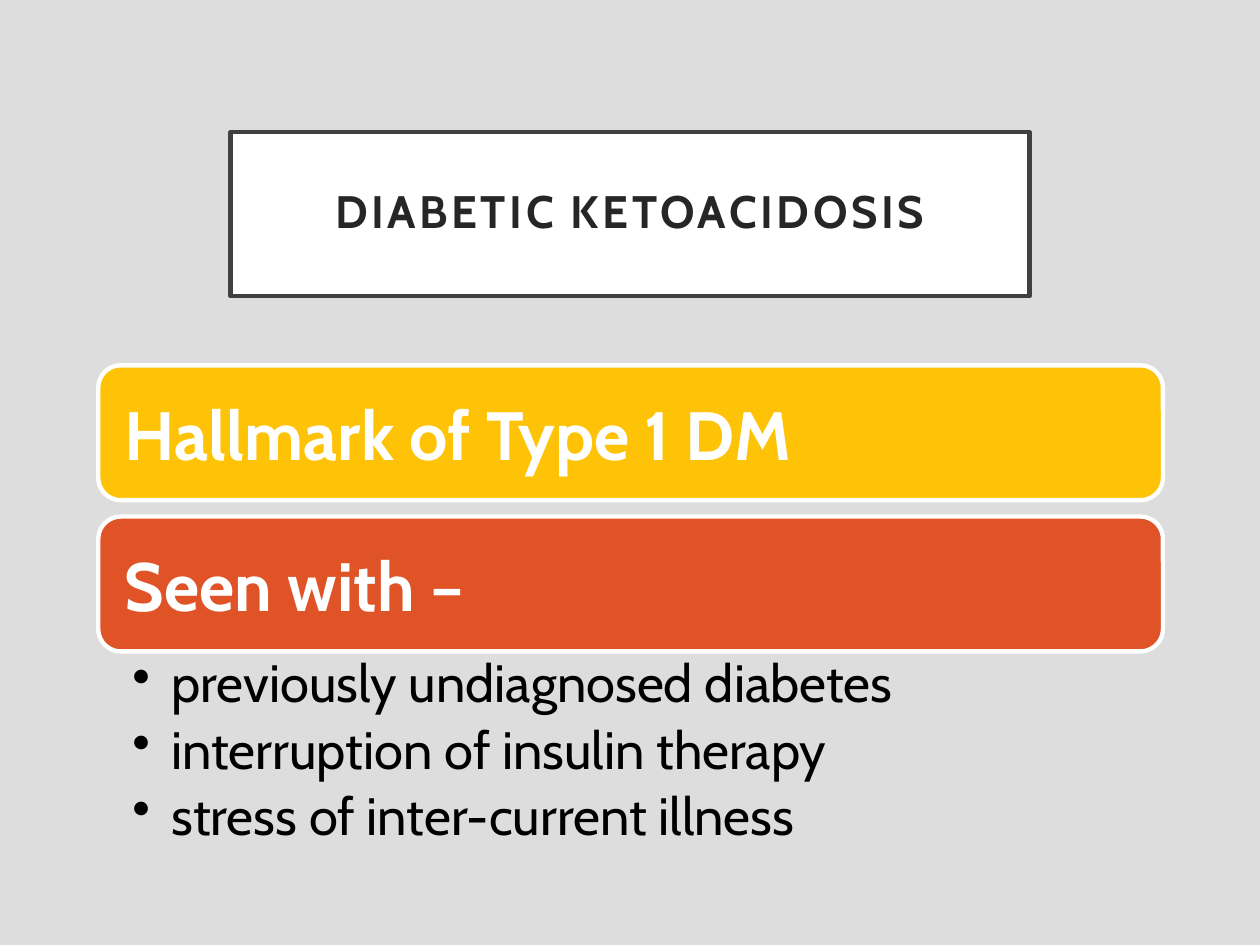
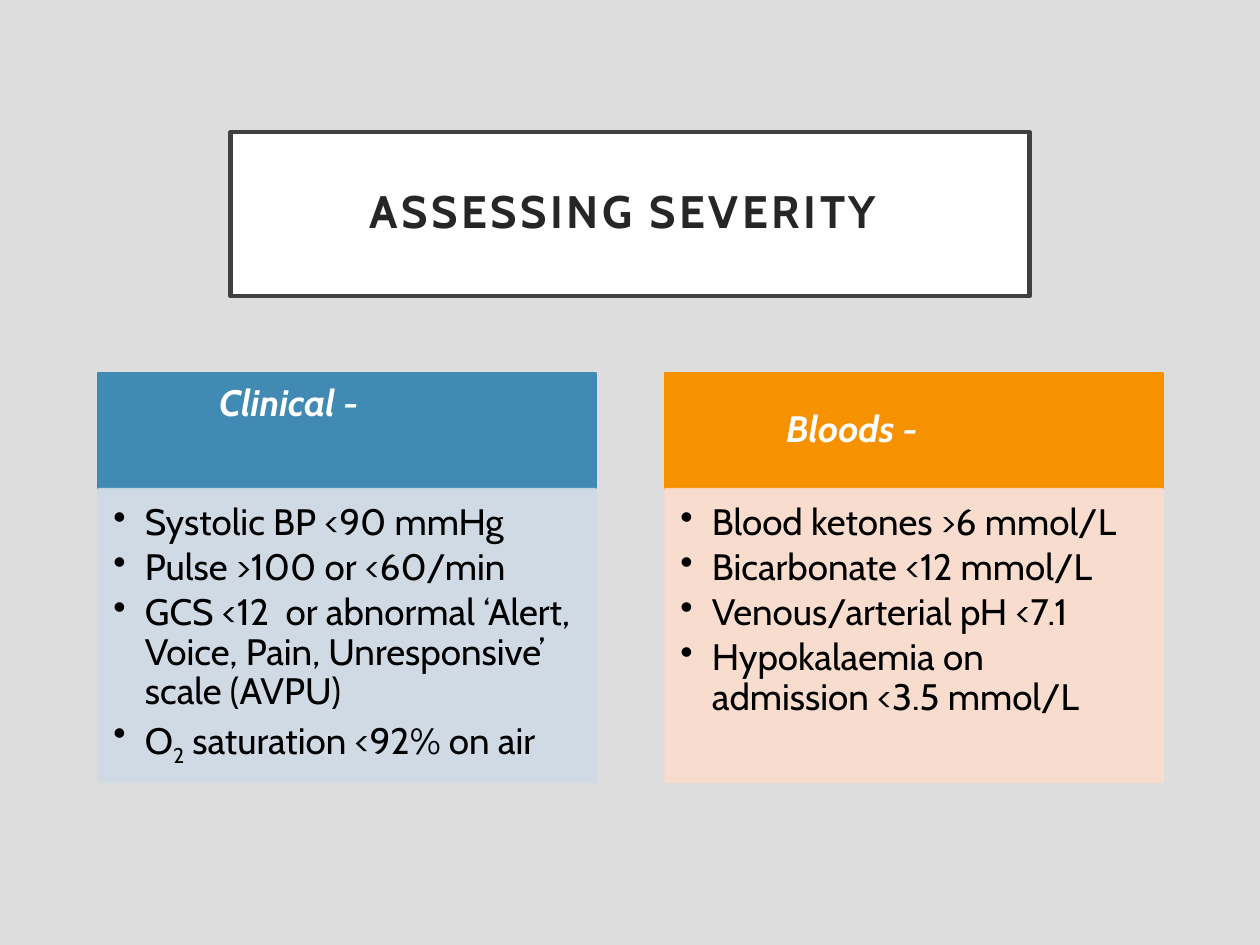
from dataclasses import dataclass
from lxml.etree import SubElement
from pptx import Presentation
from pptx.dml.color import RGBColor
from pptx.enum.shapes import MSO_SHAPE
from pptx.enum.text import MSO_ANCHOR, MSO_AUTO_SIZE, PP_ALIGN
from pptx.oxml.ns import qn
from pptx.util import Inches, Pt


@dataclass(frozen=True)
class Theme:
    font: str = "Cabin"
    background: str = "DDDDDD"
    white: str = "FFFFFF"
    frame: str = "404040"
    heading: str = "262626"
    body: str = "000000"
    yellow: str = "FEC306"
    red: str = "DF5327"
    blue: str = "418AB3"
    pale_blue: str = "CFDAE5"
    orange: str = "F69200"
    pale_orange: str = "FBDCCC"
    title_size: int = 26
    bar_size: int = 39
    bullet_size: int = 30
    card_size: int = 21


THEME = Theme()
LEFT, WIDTH = 0.78, 8.45
BAR_TOP, BAR_HEIGHT, BAR_STEP = 2.9, 1.07, 1.2
CARD_TOP, CARD_WIDTH, CARD_STEP = 2.96, 3.95, 4.5
HEADER_HEIGHT, PANEL_HEIGHT = 0.92, 2.33


def paint(shape, fill, line, width, opacity=None):
    shape.fill.solid()
    shape.fill.fore_color.rgb = RGBColor.from_string(fill)
    shape.line.color.rgb = RGBColor.from_string(line)
    shape.line.width = Pt(width)
    if opacity:
        for color in shape._element.spPr.iter(qn("a:srgbClr")):
            SubElement(color, qn("a:alpha"), val=str(opacity * 1000))


def set_frame(frame, insets, anchor):
    frame.word_wrap = True
    frame.auto_size = MSO_AUTO_SIZE.NONE
    frame.vertical_anchor = anchor
    (frame.margin_left, frame.margin_top,
     frame.margin_right, frame.margin_bottom) = map(Inches, insets)


def style_run(run, size, color, bold=False, italic=False):
    run.font.name = THEME.font
    run.font.size = Pt(size)
    run.font.bold = bold
    run.font.italic = italic
    run.font.color.rgb = RGBColor.from_string(color)


def write_line(frame, text, size, color, align=PP_ALIGN.LEFT, spacing=0.9,
               italic=False):
    frame.text = text
    paragraph = frame.paragraphs[0]
    paragraph.alignment = align
    paragraph.line_spacing = spacing
    run = paragraph.runs[0]
    style_run(run, size, color, True, italic)
    return run


def write_bullets(frame, items, size, indent, gap):
    for index, item in enumerate(items):
        paragraph = frame.paragraphs[0] if index == 0 else frame.add_paragraph()
        paragraph.level = 1
        paragraph.alignment = PP_ALIGN.LEFT
        paragraph.line_spacing = 0.9
        paragraph.space_before = Pt(0)
        paragraph.space_after = Pt(gap)
        properties = paragraph._p.get_or_add_pPr()
        properties.set("marL", str(Inches(indent)))
        properties.set("indent", str(-Inches(indent)))
        SubElement(properties, qn("a:buChar"), char="•")
        parts = (item,) if isinstance(item, str) else item
        for position, part in enumerate(parts):
            run = paragraph.add_run()
            run.text = part
            style_run(run, size, THEME.body)
            if position == 1:
                run.font._element.set("baseline", "-25000")


def add_block(slide, kind, left, top, width, height):
    block = slide.shapes.add_shape(
        kind, Inches(left), Inches(top), Inches(width), Inches(height))
    block.shadow.inherit = False
    return block


def add_titled_slide(deck, text):
    slide = deck.slides.add_slide(deck.slide_layouts[5])
    title = slide.shapes.title
    title.left, title.top = Inches(1.83), Inches(1.05)
    title.width, title.height = Inches(6.34), Inches(1.3)
    paint(title, THEME.white, THEME.frame, 2.5)
    set_frame(title.text_frame, (0.2,) * 4, MSO_ANCHOR.MIDDLE)
    run = write_line(title.text_frame, text, THEME.title_size, THEME.heading,
                     PP_ALIGN.CENTER)
    run.font._element.set("spc", "200")
    return slide


def add_bar(slide, row, text, color):
    bar = add_block(slide, MSO_SHAPE.ROUNDED_RECTANGLE, LEFT,
                    BAR_TOP + row * BAR_STEP, WIDTH, BAR_HEIGHT)
    paint(bar, color, THEME.white, 2.5)
    set_frame(bar.text_frame, (0.16,) * 4, MSO_ANCHOR.MIDDLE)
    write_line(bar.text_frame, text, THEME.bar_size, THEME.white, spacing=1.0)


def add_causes(slide, causes):
    top = BAR_TOP + BAR_STEP + BAR_HEIGHT
    box = slide.shapes.add_textbox(
        Inches(LEFT), Inches(top), Inches(WIDTH), Inches(1.63))
    set_frame(box.text_frame, (0.27, 0.05, 0.3, 0.05), MSO_ANCHOR.TOP)
    write_bullets(box.text_frame, causes, THEME.bullet_size, 0.31, 5.5)


def add_card(slide, column, heading, anchor, color, pale, criteria):
    left = LEFT + column * CARD_STEP
    header = add_block(slide, MSO_SHAPE.RECTANGLE, left, CARD_TOP,
                       CARD_WIDTH, HEADER_HEIGHT)
    paint(header, color, color, 1)
    set_frame(header.text_frame, (0.96, 0.09, 0.16, 0.09), anchor)
    write_line(header.text_frame, heading, THEME.card_size, THEME.white,
               italic=True)
    panel = add_block(slide, MSO_SHAPE.RECTANGLE, left,
                      CARD_TOP + HEADER_HEIGHT, CARD_WIDTH, PANEL_HEIGHT)
    paint(panel, pale, pale, 1, 90)
    set_frame(panel.text_frame, (0.12, 0.12, 0.16, 0.18), MSO_ANCHOR.TOP)
    write_bullets(panel.text_frame, criteria, THEME.card_size, 0.25, 3)


def main():
    deck = Presentation()
    deck.slide_width, deck.slide_height = Inches(10), Inches(7.5)
    backdrop = deck.slide_master.background.fill
    backdrop.solid()
    backdrop.fore_color.rgb = RGBColor.from_string(THEME.background)

    ketoacidosis = add_titled_slide(deck, "DIABETIC KETOACIDOSIS")
    add_bar(ketoacidosis, 0, "Hallmark of Type 1 DM", THEME.yellow)
    add_bar(ketoacidosis, 1, "Seen with –", THEME.red)
    add_causes(ketoacidosis, [
        "previously undiagnosed diabetes",
        "interruption of insulin therapy",
        "stress of inter-current illness",
    ])

    severity = add_titled_slide(deck, "ASSESSING SEVERITY ")
    add_card(severity, 0, "Clinical -", MSO_ANCHOR.TOP,
             THEME.blue, THEME.pale_blue, [
                 "Systolic BP <90 mmHg",
                 "Pulse >100 or <60/min",
                 "GCS <12  or abnormal ‘Alert, Voice, Pain, Unresponsive’ "
                 "scale (AVPU)",
                 ("O", "2", "\u00a0saturation <92% on air"),
             ])
    add_card(severity, 1, "Bloods -", MSO_ANCHOR.MIDDLE,
             THEME.orange, THEME.pale_orange, [
                 "Blood ketones >6 mmol/L",
                 "Bicarbonate <12 mmol/L",
                 "Venous/arterial pH <7.1",
                 "Hypokalaemia on admission <3.5 mmol/L",
             ])
    deck.save("out.pptx")


main()
